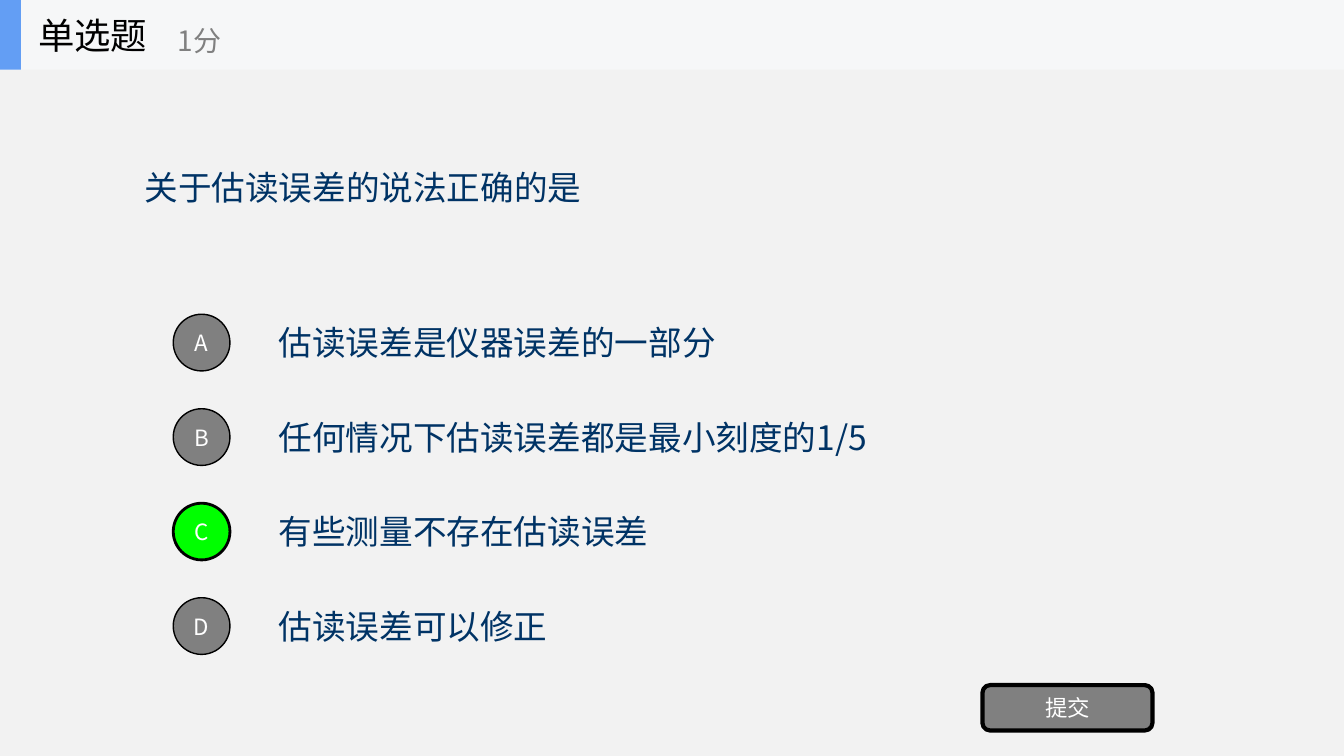
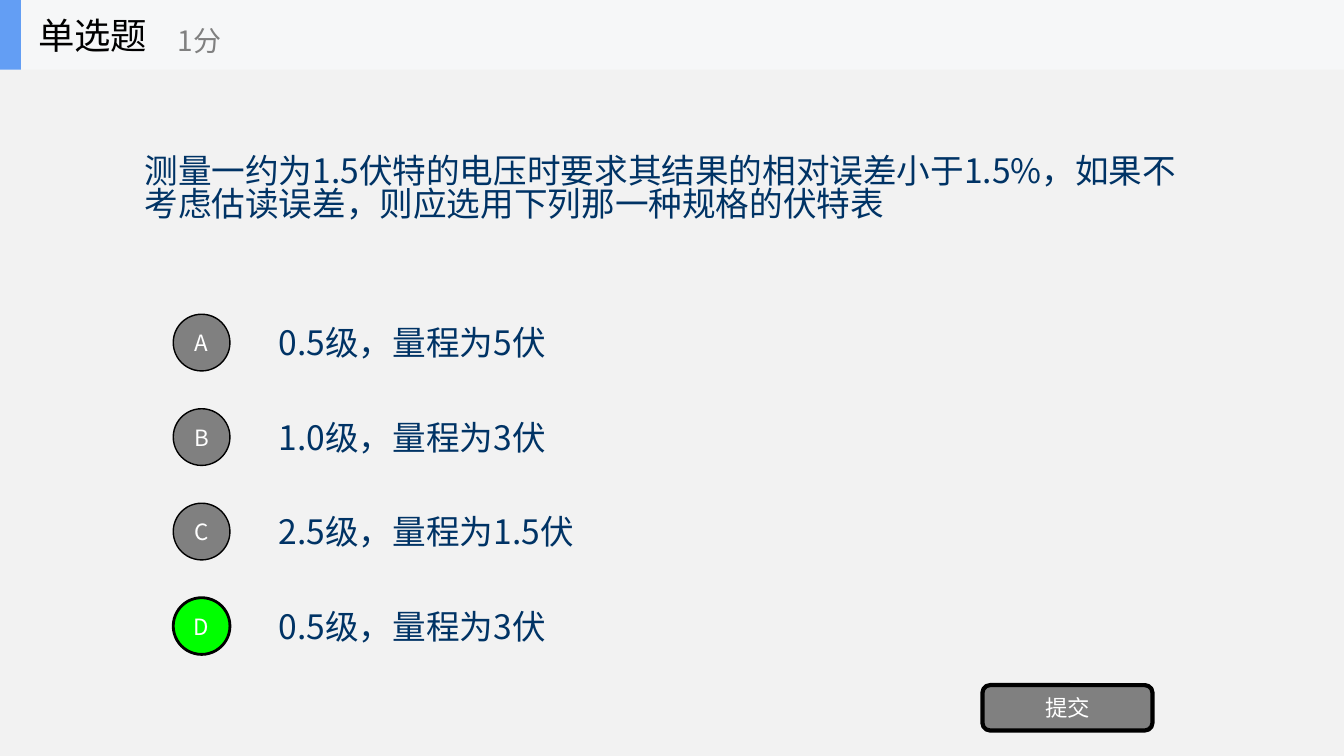
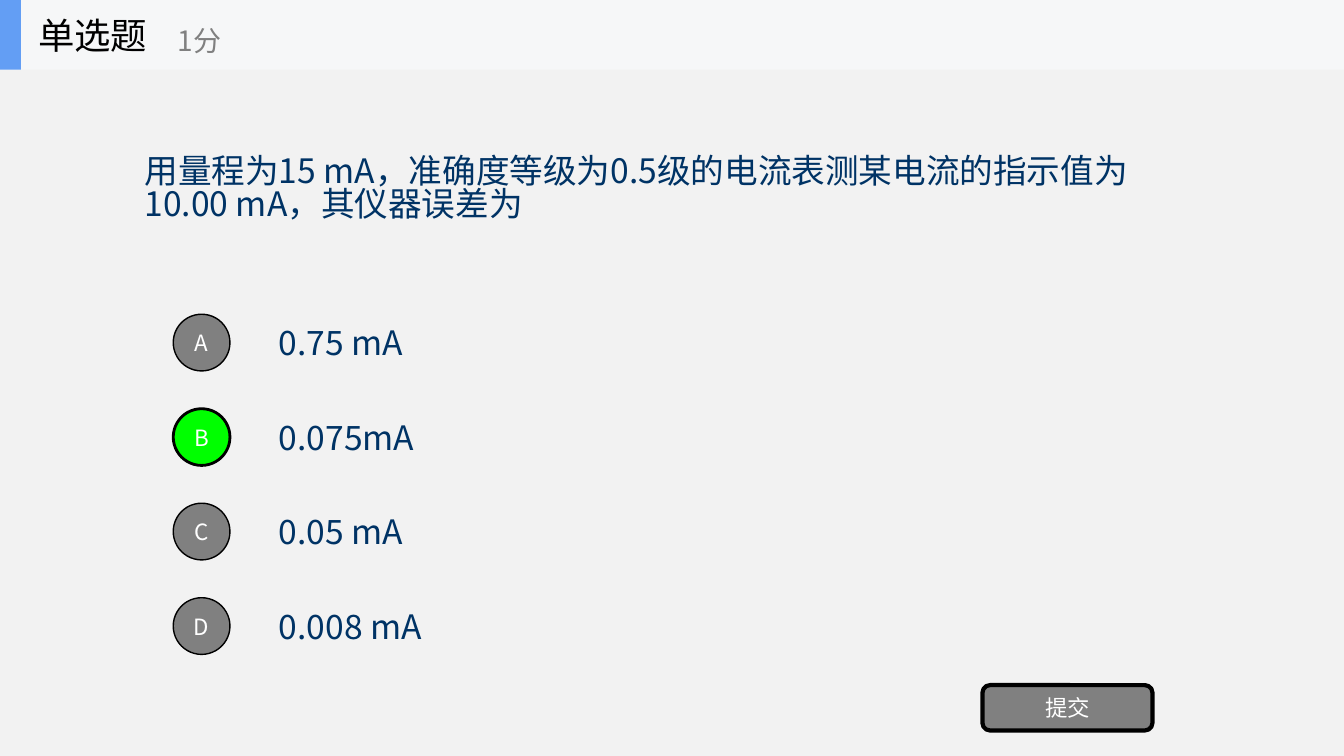
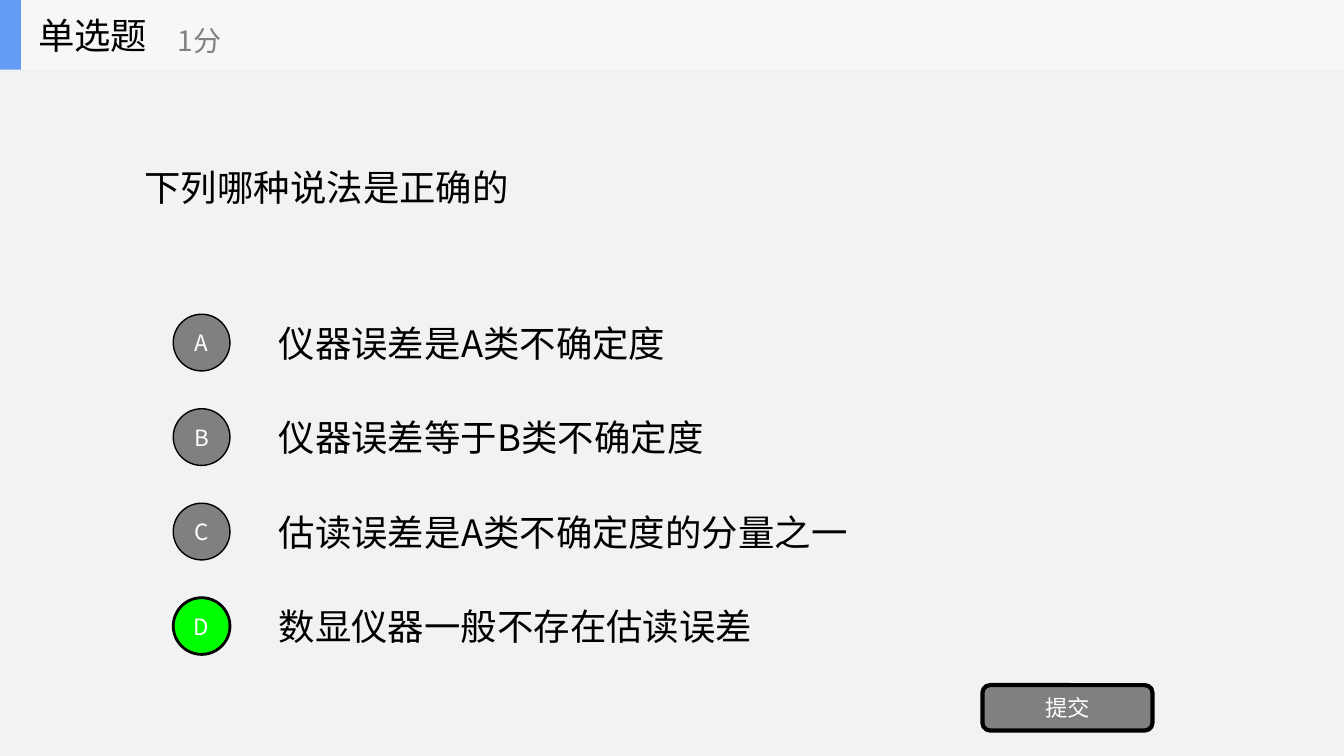
from dataclasses import dataclass

from pptx import Presentation
from pptx.dml.color import RGBColor
from pptx.enum.shapes import MSO_SHAPE
from pptx.enum.text import MSO_ANCHOR, MSO_AUTO_SIZE, PP_ALIGN
from pptx.oxml.ns import qn
from pptx.shapes.autoshape import Shape
from pptx.shapes.shapetree import GroupShapes, SlideShapes
from pptx.slide import Slide
from pptx.util import Inches, Pt
from lxml import etree

RECT, OVAL, ROUND = MSO_SHAPE.RECTANGLE, MSO_SHAPE.OVAL, MSO_SHAPE.ROUNDED_RECTANGLE
LEFT, CENTER = PP_ALIGN.LEFT, PP_ALIGN.CENTER
MIDDLE = MSO_ANCHOR.MIDDLE
NO_FIT = MSO_AUTO_SIZE.NONE

WIDTH, HEIGHT = Inches(13.33), Inches(7.5)
COL, ROW = WIDTH / 20, HEIGHT / 32


@dataclass(frozen=True)
class Theme:
    font: str = "Noto Sans CJK SC"
    page: str = "F2F2F2"
    band: str = "F6F7F8"
    accent: str = "639EF4"
    navy: str = "003365"
    black: str = "000000"
    gray: str = "808080"
    white: str = "FFFFFF"
    correct: str = "00FF00"
    heading_size: int = 26
    body_size: int = 24
    score_size: int = 20
    label_size: int = 16
    question_spacing: float = 0.82


@dataclass(frozen=True)
class Box:
    col: float
    row: float
    cols: float
    rows: float

    def emu(self) -> tuple[int, int, int, int]:
        return (round(self.col * COL), round(self.row * ROW),
                round(self.cols * COL), round(self.rows * ROW))


@dataclass(frozen=True)
class Style:
    size: int
    color: str
    align: PP_ALIGN = LEFT


@dataclass(frozen=True)
class Question:
    text: str
    options: tuple[str, str, str, str]
    answer: str
    style: Style


THEME = Theme()
HEADING = Style(THEME.heading_size, THEME.black)
SCORE = Style(THEME.score_size, THEME.gray)
BODY = Style(THEME.body_size, THEME.navy)
LABEL = Style(THEME.label_size, THEME.white, CENTER)

BAND_ROWS = 2.95
BAND = Box(0, 0, 20, BAND_ROWS)
ACCENT = Box(0, 0, 0.31, BAND_ROWS)
HEADING_BOX = Box(0.42, 0, 3.12, BAND_ROWS)
SCORE_BOX = Box(2.5, 0.51, 3.75, 2.4)
QUESTION_BOX = Box(2, BAND_ROWS, 16, 10)
BUTTON = Box(14.62, 29, 2.53, 1.92)
OPTION_ROW, OPTION_ROWS, OPTION_STEP = 13, 3, 4
BADGE_COL, BADGE_ROWS = 3, 2.4
BADGE_COLS = BADGE_ROWS * ROW / COL

QUESTIONS = (
    Question("关于估读误差的说法正确的是",
             ("估读误差是仪器误差的一部分", "任何情况下估读误差都是最小刻度的1/5",
              "有些测量不存在估读误差", "估读误差可以修正"), "C", BODY),
    Question("测量一约为1.5伏特的电压时要求其结果的相对误差小于1.5%，如果不考虑估读误差，"
             "则应选用下列那一种规格的伏特表",
             ("0.5级，量程为5伏", "1.0级，量程为3伏", "2.5级，量程为1.5伏",
              "0.5级，量程为3伏"), "D", BODY),
    Question("用量程为15 mA，准确度等级为0.5级的电流表测某电流的指示值为10.00 mA，其仪器误差为",
             ("0.75 mA", "0.075mA", "0.05 mA", "0.008 mA"), "B", BODY),
    Question("下列哪种说法是正确的",
             ("仪器误差是A类不确定度", "仪器误差等于B类不确定度",
              "估读误差是A类不确定度的分量之一", "数显仪器一般不存在估读误差"), "D", HEADING),
)


def set_text(sp: Shape, text: str, style: Style) -> None:
    tf = sp.text_frame
    tf.text = text
    tf.word_wrap = True
    tf.auto_size = NO_FIT
    tf.vertical_anchor = MIDDLE
    p = tf.paragraphs[0]
    p.alignment = style.align
    for r in p.runs:
        r.font.size = Pt(style.size)
        r.font.name = THEME.font
        r.font.color.rgb = RGBColor.from_string(style.color)
        ea = etree.SubElement(r.font._element, qn("a:ea"))
        ea.set("typeface", THEME.font)


def add_text(shapes: SlideShapes | GroupShapes, box: Box, text: str, style: Style) -> None:
    set_text(shapes.add_textbox(*box.emu()), text, style)


def add_block(shapes: SlideShapes | GroupShapes, kind: MSO_SHAPE, box: Box,
              fill: str, line: float = 0) -> Shape:
    sp = shapes.add_shape(kind, *box.emu())
    sp.shadow.inherit = False
    sp.fill.solid()
    sp.fill.fore_color.rgb = RGBColor.from_string(fill)
    if line:
        sp.line.color.rgb = RGBColor.from_string(THEME.black)
        sp.line.width = Pt(line)
    else:
        sp.line.fill.background()
    return sp


def add_label(shapes: SlideShapes, kind: MSO_SHAPE, box: Box, text: str,
              fill: str, line: float) -> None:
    sp = add_block(shapes, kind, box, fill, line)
    set_text(sp, text, LABEL)
    tf = sp.text_frame
    tf.margin_left = tf.margin_right = tf.margin_top = tf.margin_bottom = 0


def add_header(s: Slide) -> None:
    shapes = s.shapes.add_group_shape().shapes
    add_block(shapes, RECT, BAND, THEME.band)
    add_block(shapes, RECT, ACCENT, THEME.accent)
    add_text(shapes, HEADING_BOX, "单选题", HEADING)
    add_text(shapes, SCORE_BOX, "1分", SCORE)


def add_question(s: Slide, text: str, style: Style) -> None:
    sp = s.shapes.title
    sp.left, sp.top, sp.width, sp.height = QUESTION_BOX.emu()
    set_text(sp, text, style)
    sp.text_frame.margin_top = Inches(0.1)
    sp.text_frame.paragraphs[0].line_spacing = THEME.question_spacing


def add_option(s: Slide, index: int, letter: str, text: str, style: Style,
               correct: bool) -> None:
    row = OPTION_ROW + index * OPTION_STEP
    add_text(s.shapes, Box(4, row, 14, OPTION_ROWS), text, style)
    badge = Box(BADGE_COL - BADGE_COLS / 2, row + (OPTION_ROWS - BADGE_ROWS) / 2,
                BADGE_COLS, BADGE_ROWS)
    fill, line = (THEME.correct, 2) if correct else (THEME.gray, 1)
    add_label(s.shapes, OVAL, badge, letter, fill, line)


def main() -> None:
    prs = Presentation()
    prs.slide_width, prs.slide_height = WIDTH, HEIGHT
    page = prs.slide_master.background.fill
    page.solid()
    page.fore_color.rgb = RGBColor.from_string(THEME.page)
    for question in QUESTIONS:
        s = prs.slides.add_slide(prs.slide_layouts[5])
        add_header(s)
        add_question(s, question.text, question.style)
        for i, (letter, text) in enumerate(zip("ABCD", question.options)):
            add_option(s, i, letter, text, question.style, letter == question.answer)
        add_label(s.shapes, ROUND, BUTTON, "提交", THEME.gray, 3)
    prs.save("out.pptx")


if __name__ == "__main__":
    main()
